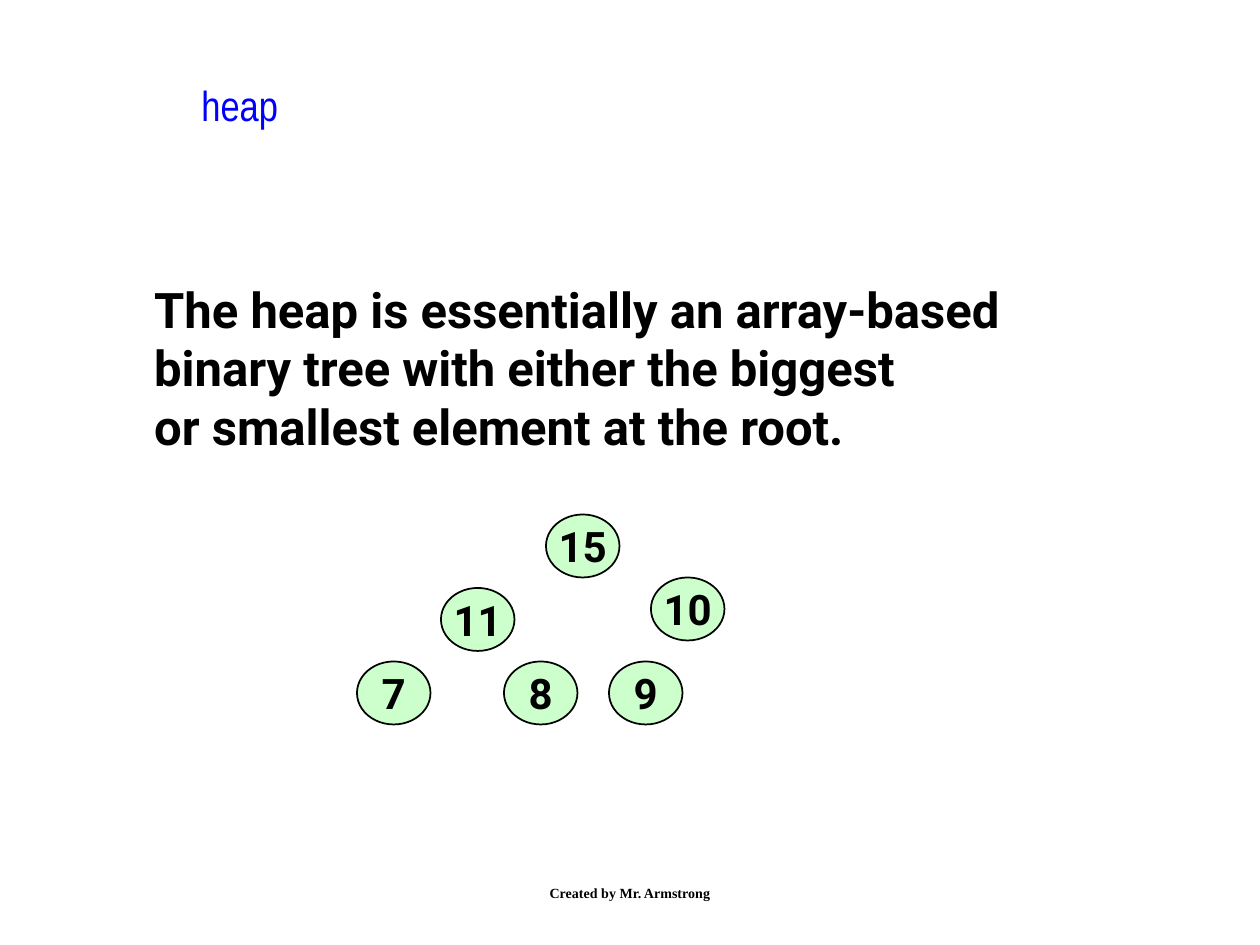
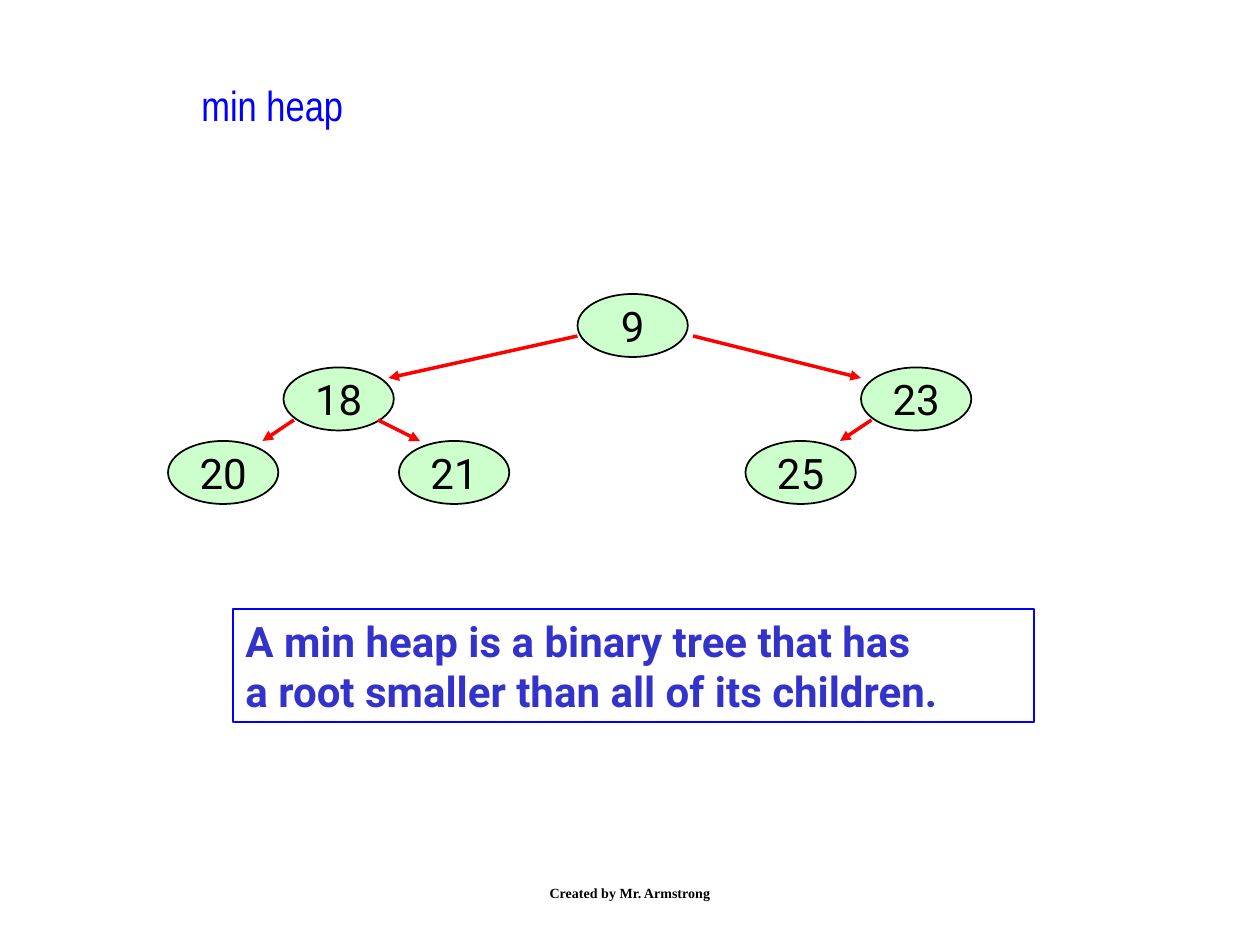
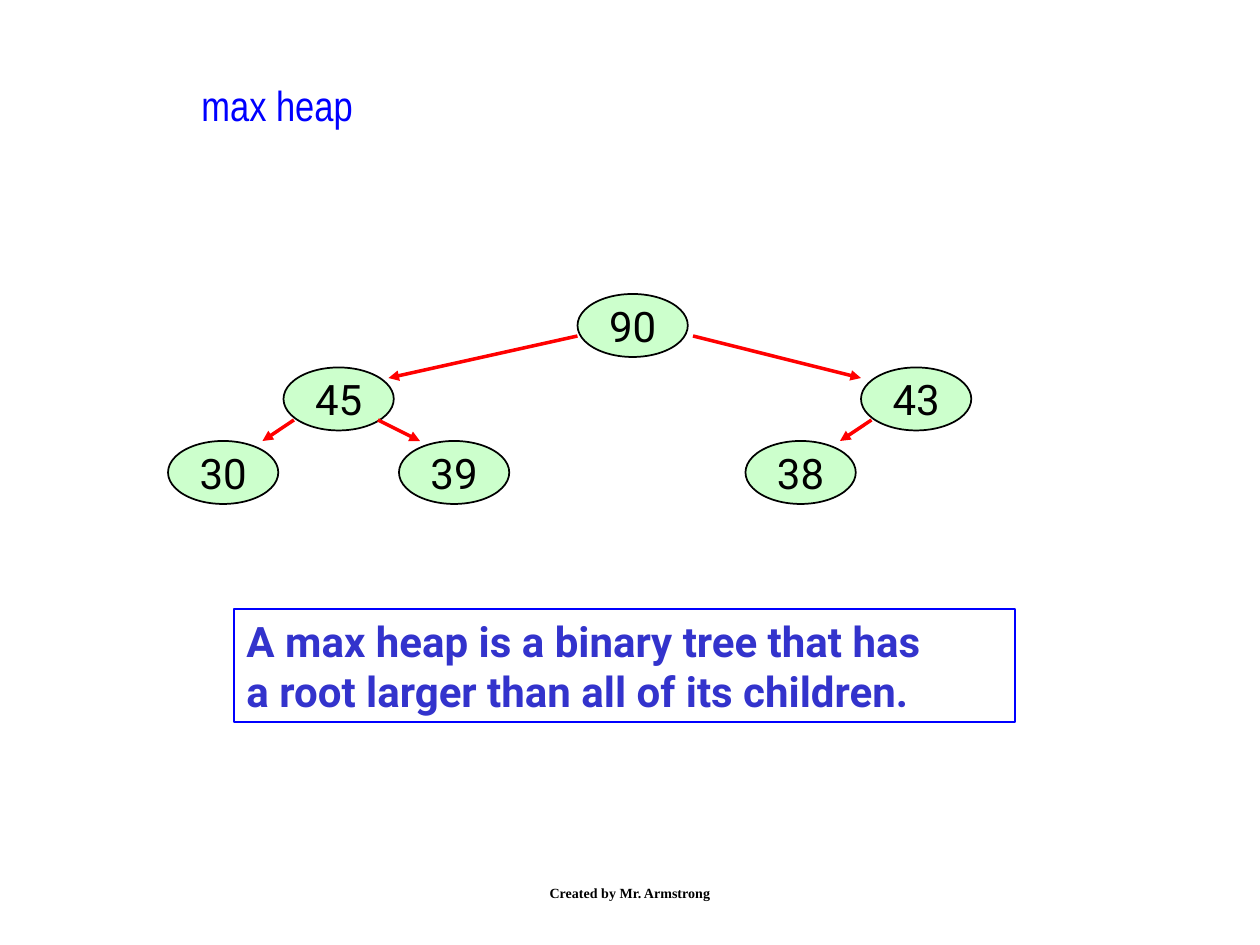
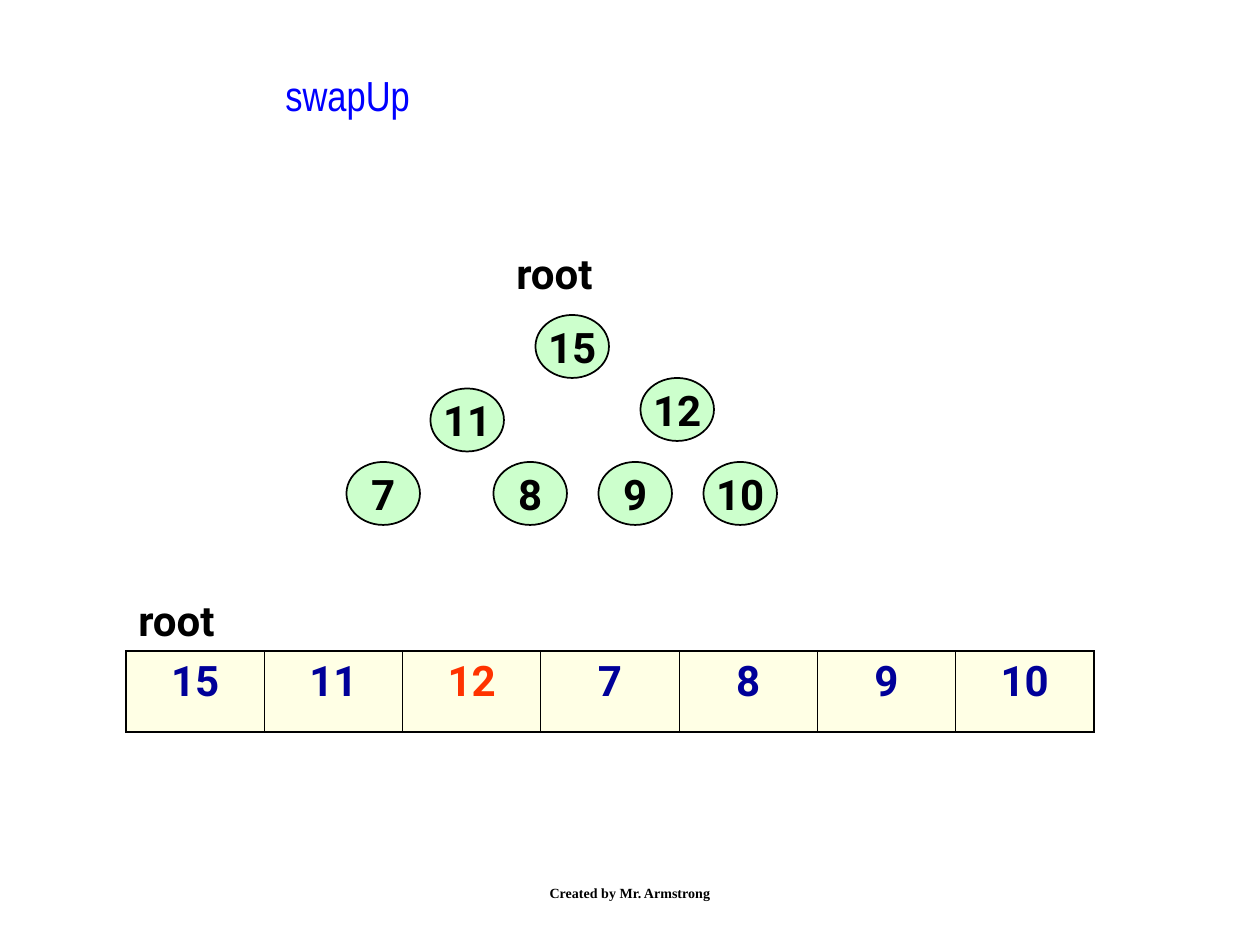
from dataclasses import dataclass

from lxml.etree import SubElement
from pptx import Presentation
from pptx.dml.color import RGBColor
from pptx.enum.shapes import MSO_CONNECTOR, MSO_SHAPE
from pptx.enum.text import MSO_ANCHOR, MSO_AUTO_SIZE, PP_ALIGN
from pptx.oxml.ns import qn
from pptx.util import Inches, Pt


@dataclass(frozen=True)
class Theme:
    """Colours, fonts and type sizes shared by all slides."""
    title: str = "0000FF"
    title_edge: str = "FFFF00"
    ink: str = "000000"
    node: str = "CCFFCC"
    arrow: str = "FF0000"
    frame: str = "0000FF"
    definition: str = "3333CC"
    cell: str = "FFFFCC"
    cell_text: str = "000099"
    swapped: str = "FF3300"
    body_font: str = "Roboto"
    title_font: str = "Arial Narrow"
    footer_font: str = "Times New Roman"
    statement_size: int = 28
    body_size: int = 24
    footer_size: int = 8
    outer_border: float = 1.08
    inner_border: float = 0.45


T = Theme()
COLS, ROWS = 120, 90
SLIDE_W, SLIDE_H = Inches(10), Inches(7.5)
NODE_H = 6

SMALL_HEAP = [(18, 0), (8, 7), (28, 6), (0, 14), (14, 14), (24, 14), (34, 14)]
WIDE_HEAP = [(55, 28), (27, 35), (82, 35), (16, 42), (38, 42), (71, 42)]
WIDE_ARROWS = [
    ((55, 32), (37, 36)),
    ((66, 32), (82, 36)),
    ((28, 40), (25, 42)),
    ((36, 40), (40, 42)),
    ((83, 40), (80, 42)),
]


def grid(*lengths):
    """Turn alternating column and row counts into slide lengths."""
    units = (SLIDE_W / COLS, SLIDE_H / ROWS)
    return [round(n * units[i % 2]) for i, n in enumerate(lengths)]


def rgb(color):
    """Return the colour for a hex string."""
    return RGBColor.from_string(color)


def add_run(p, text, font=T.body_font, size=T.body_size, color=T.ink, bold=True):
    """Add one styled run to a paragraph."""
    r = p.add_run()
    r.text = text
    r.font.name = font
    r.font.size = Pt(size)
    r.font.bold = bold
    r.font.color.rgb = rgb(color)
    return r


def add_solid(parent, color):
    """Append a solid fill of the given colour to an XML element."""
    fill = SubElement(parent, qn("a:solidFill"))
    return SubElement(fill, qn("a:srgbClr"), val=color)


def add_text(slide, box, lines, wrap=False, grow=False, **style):
    """Add a text box with one paragraph per line."""
    sp = slide.shapes.add_textbox(*grid(*box))
    tf = sp.text_frame
    tf.word_wrap = wrap
    tf.auto_size = MSO_AUTO_SIZE.SHAPE_TO_FIT_TEXT if grow else MSO_AUTO_SIZE.NONE
    for i, line in enumerate(lines):
        p = tf.paragraphs[0] if i == 0 else tf.add_paragraph()
        add_run(p, line, **style)
    return sp


def add_title(slide, text, box):
    """Add the blue title with its fine letter outline."""
    sp = add_text(slide, box, [text], font=T.title_font, color=T.title, bold=False)
    r = sp.text_frame.paragraphs[0].runs[0]
    r_pr = r._r.get_or_add_rPr()
    ln = SubElement(r_pr, qn("a:ln"), w=str(Pt(0.75)))
    add_solid(ln, T.title_edge)
    r_pr.insert(0, ln)


def add_footer(slide):
    """Add the author line at the foot of the slide."""
    sp = add_text(slide, (41, 82, 38, 6), ["Created by Mr. Armstrong"], wrap=True,
                  font=T.footer_font, size=T.footer_size)
    sp.text_frame.vertical_anchor = MSO_ANCHOR.MIDDLE
    sp.text_frame.paragraphs[0].alignment = PP_ALIGN.CENTER


def add_slide(prs, title, title_box=(18, 7, 82, 11)):
    """Add a blank slide with title and footer."""
    slide = prs.slides.add_slide(prs.slide_layouts[6])
    add_title(slide, title, title_box)
    add_footer(slide)
    return slide


def add_node(slide, col, row, width, value, bold):
    """Add one heap node."""
    sp = slide.shapes.add_shape(MSO_SHAPE.OVAL, *grid(col, row, width, NODE_H))
    sp.shadow.inherit = False
    sp.fill.solid()
    sp.fill.fore_color.rgb = rgb(T.node)
    sp.line.color.rgb = rgb(T.ink)
    sp.line.width = Pt(1)
    tf = sp.text_frame
    tf.word_wrap = False
    tf.vertical_anchor = MSO_ANCHOR.MIDDLE
    p = tf.paragraphs[0]
    p.alignment = PP_ALIGN.CENTER
    add_run(p, str(value), bold=bold)


def add_arrow(slide, start, end):
    """Add a red arrow between two grid points."""
    line = slide.shapes.add_connector(MSO_CONNECTOR.STRAIGHT, *grid(*start, *end))
    line.line.color.rgb = rgb(T.arrow)
    line.line.width = Pt(2)
    SubElement(line.line._get_or_add_ln(), qn("a:tailEnd"), type="triangle")
    SubElement(line._element.spPr, qn("a:effectLst"))


def add_small_heap(slide, left, top, values):
    """Add a compact heap without arrows, filled level by level."""
    for (col, row), value in zip(SMALL_HEAP, values):
        add_node(slide, left + col, top + row, 7, value, bold=True)


def add_wide_heap(slide, values):
    """Add a wide heap with arrows from parents to children."""
    for (col, row), value in zip(WIDE_HEAP, values):
        add_node(slide, col, row, 10.5, value, bold=False)
    for start, end in WIDE_ARROWS:
        add_arrow(slide, start, end)


def add_definition(slide, left, width, lines):
    """Add a framed definition."""
    sp = add_text(slide, (left, 58, width, 10.8), lines, grow=True, color=T.definition)
    sp.line.color.rgb = rgb(T.frame)
    sp.line.width = Pt(1)


def style_cell(cell, is_first, is_last):
    """Give a table cell its borders and half-transparent fill."""
    tc_pr = cell._tc.get_or_add_tcPr()
    for side, outer in (("L", is_first), ("R", is_last), ("T", True), ("B", True)):
        width = Pt(T.outer_border if outer else T.inner_border)
        add_solid(SubElement(tc_pr, qn(f"a:ln{side}"), w=str(width)), T.ink)
    SubElement(add_solid(tc_pr, T.cell), qn("a:alpha"), val="50000")


def add_array(slide, values, swapped):
    """Add the heap's array as a one-row table, marking the swapped value."""
    frame = slide.shapes.add_table(1, len(values), *grid(12, 62, 92.2, 7.7))
    table = frame.table
    table.first_row = table.horz_banding = False
    for i, value in enumerate(values):
        cell = table.cell(0, i)
        style_cell(cell, i == 0, i == len(values) - 1)
        p = cell.text_frame.paragraphs[0]
        p.alignment = PP_ALIGN.CENTER
        add_run(p, str(value), color=T.swapped if value == swapped else T.cell_text)


def main():
    """Build the heap slides."""
    prs = Presentation()
    prs.slide_width, prs.slide_height = SLIDE_W, SLIDE_H

    slide = add_slide(prs, "heap")
    add_text(slide, (13.5, 26, 90.8, 18), [
        "The heap is essentially an array-based",
        "binary tree with either the biggest",
        "or smallest element at the root.",
    ], grow=True, size=T.statement_size)
    add_small_heap(slide, 34, 49, [15, 11, 10, 7, 8, 9])

    for kind, relation, left, width, values in (
        ("min", "smaller", 22.2, 76.3, [9, 18, 23, 20, 21, 25]),
        ("max", "larger", 22.3, 74.4, [90, 45, 43, 30, 39, 38]),
    ):
        slide = add_slide(prs, f"{kind} heap")
        add_wide_heap(slide, values)
        add_definition(slide, left, width, [
            f"A {kind} heap is a binary tree that has",
            f"a root {relation} than all of its children.",
        ])

    slide = add_slide(prs, "swapUp", (26, 6, 64, 8))
    values = [15, 11, 12, 7, 8, 9, 10]
    add_small_heap(slide, 33, 30, values)
    for box in ((48, 23, 18, 6), (12, 56, 84, 6)):
        add_text(slide, box, ["root"], wrap=True, grow=True)
    add_array(slide, values, swapped=12)

    prs.save("out.pptx")


if __name__ == "__main__":
    main()
